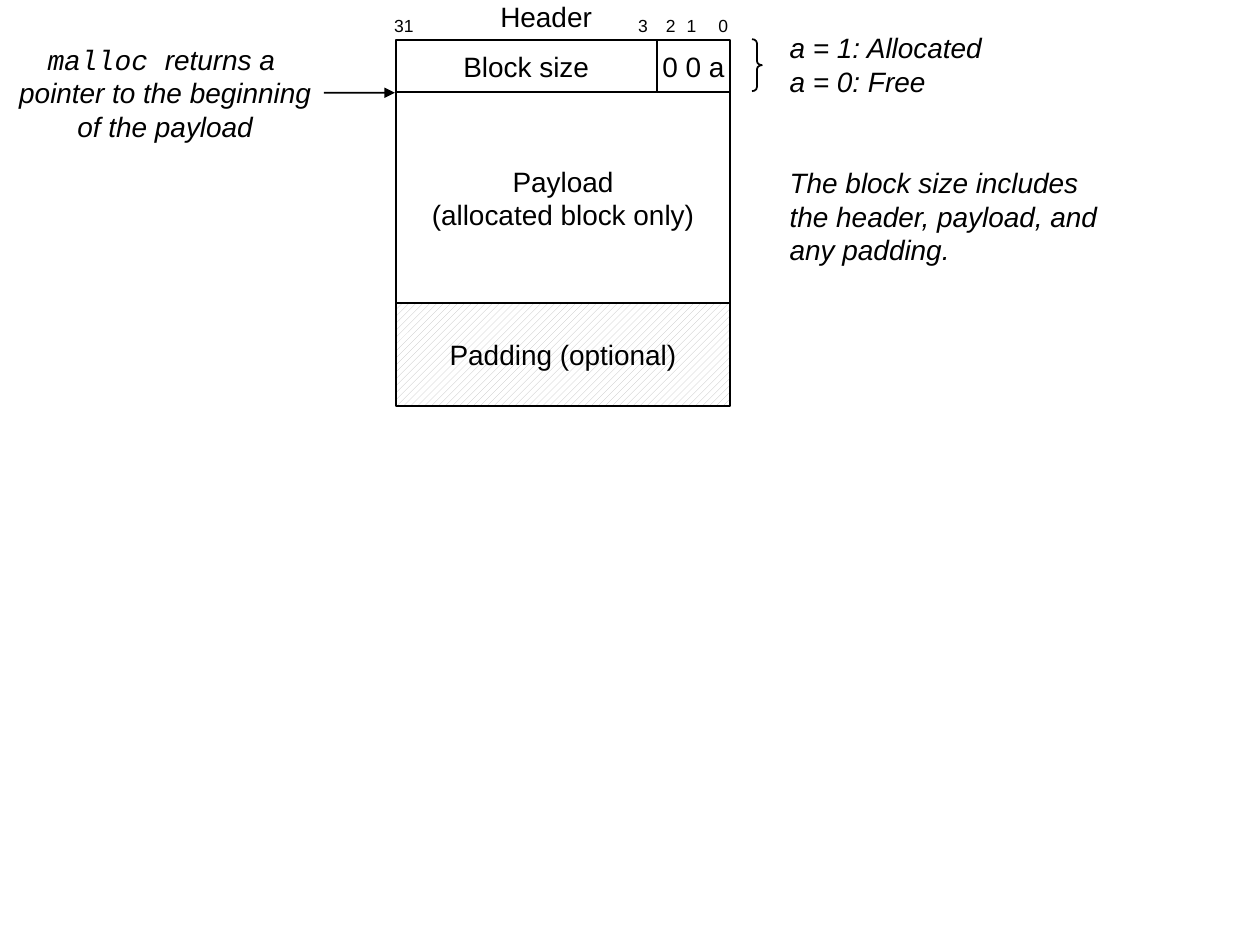
import pptx
import pptx.util
import pptx.dml.color
import pptx.enum.dml
import pptx.enum.shapes
import pptx.enum.text
import pptx.oxml.ns
import lxml.etree

Cm = pptx.util.Cm
Pt = pptx.util.Pt
SHAPE = pptx.enum.shapes.MSO_SHAPE
ALIGN = pptx.enum.text.PP_ALIGN
ANCHOR = pptx.enum.text.MSO_ANCHOR
FIT = pptx.enum.text.MSO_AUTO_SIZE
qn = pptx.oxml.ns.qn
BLACK = pptx.dml.color.RGBColor(0, 0, 0)
WHITE = pptx.dml.color.RGBColor(255, 255, 255)
GRAY = pptx.dml.color.RGBColor(0xC0, 0xC0, 0xC0)

prs = pptx.Presentation()
prs.slide_width, prs.slide_height = Cm(25.4), Cm(19.05)
shapes = prs.slides.add_slide(prs.slide_layouts[6]).shapes


def add_text(text, x, y, w, h, box=False, size=16, italic=False,
             align=ALIGN.CENTER, anchor=ANCHOR.MIDDLE, mono="", gaps={}):
    frame = Cm(x), Cm(y), Cm(w), Cm(h)
    if box:
        sp = shapes.add_shape(SHAPE.RECTANGLE, *frame)
        sp.shadow.inherit = False
        sp.fill.solid()
        sp.fill.fore_color.rgb = WHITE
        sp.line.color.rgb = BLACK
        sp.line.width = Pt(1)
    else:
        sp = shapes.add_textbox(*frame)
    tf = sp.text_frame
    tf.word_wrap = False
    tf.auto_size = FIT.NONE if box else FIT.SHAPE_TO_FIT_TEXT
    tf.vertical_anchor = anchor
    for i, line in enumerate(text.split("\n")):
        p = tf.paragraphs[0] if i == 0 else tf.add_paragraph()
        p.alignment = align
        if i in gaps:
            p.space_before = Pt(gaps[i])
        for part, font in ((mono if i == 0 else "", "Courier New"), (line, "Arial")):
            if part:
                r = p.add_run()
                r.text = part
                r.font.name = font
                r.font.size = Pt(size)
                r.font.italic = italic
                r.font.color.rgb = BLACK
    return sp


left, split, right = 7.98, 13.24, 14.72
top, payload_top, padding_top, bottom = 0.81, 1.86, 6.11, 8.18
width = right - left
header_height = payload_top - top

add_text("Block size", left, top, split - left, header_height, box=True)
add_text("Payload\n(allocated block only)", left, payload_top, width,
         padding_top - payload_top, box=True)
add_text("0 0 a", split, top, right - split, header_height, box=True)
padding = add_text("Padding (optional)", left, padding_top, width,
                   bottom - padding_top, box=True)
padding.fill.patterned()
padding.fill.pattern = pptx.enum.dml.MSO_PATTERN.WIDE_UPWARD_DIAGONAL
padding.fill.fore_color.rgb = GRAY
padding.fill.back_color.rgb = WHITE

for bit, center in (("31", 8.14), ("3", 12.96), ("2", 13.52), ("1", 13.94), ("0", 14.58)):
    w = 0.5 + 0.3 * len(bit)
    add_text(bit, center - w / 2, 0.18, w, 0.68, size=10)
add_text("Header", 9.83, -0.15, 2.36, 0.94)

add_text("a = 1: Allocated\na = 0: Free\nThe block size includes\n"
         "the header, payload, and\nany padding.", 15.67, 0.5, 6.76, 5,
         italic=True, align=ALIGN.LEFT, anchor=ANCHOR.TOP, gaps={2: 38.5})
malloc = add_text("returns a \npointer to the beginning\nof the payload",
                  0.13, 0.73, 6.4, 2.28, italic=True, mono="malloc ")

brace = shapes.add_shape(SHAPE.RIGHT_BRACE, Cm(15.16), Cm(0.79), Cm(0.2), Cm(header_height))
brace.shadow.inherit = False
brace.fill.background()
brace.line.color.rgb = BLACK
brace.line.width = Pt(1)
brace.adjustments[0] = 0.417

arrow = shapes.add_connector(pptx.enum.shapes.MSO_CONNECTOR.STRAIGHT,
                             Cm(6.53), Cm(1.87), Cm(7.96), Cm(1.87))
arrow.begin_connect(malloc, 3)
arrow.line.color.rgb = BLACK
arrow.line.width = Pt(1)
lxml.etree.SubElement(arrow.line._get_or_add_ln(), qn("a:tailEnd"), type="triangle")
lxml.etree.SubElement(arrow._element.spPr, qn("a:effectLst"))

prs.save("out.pptx")
